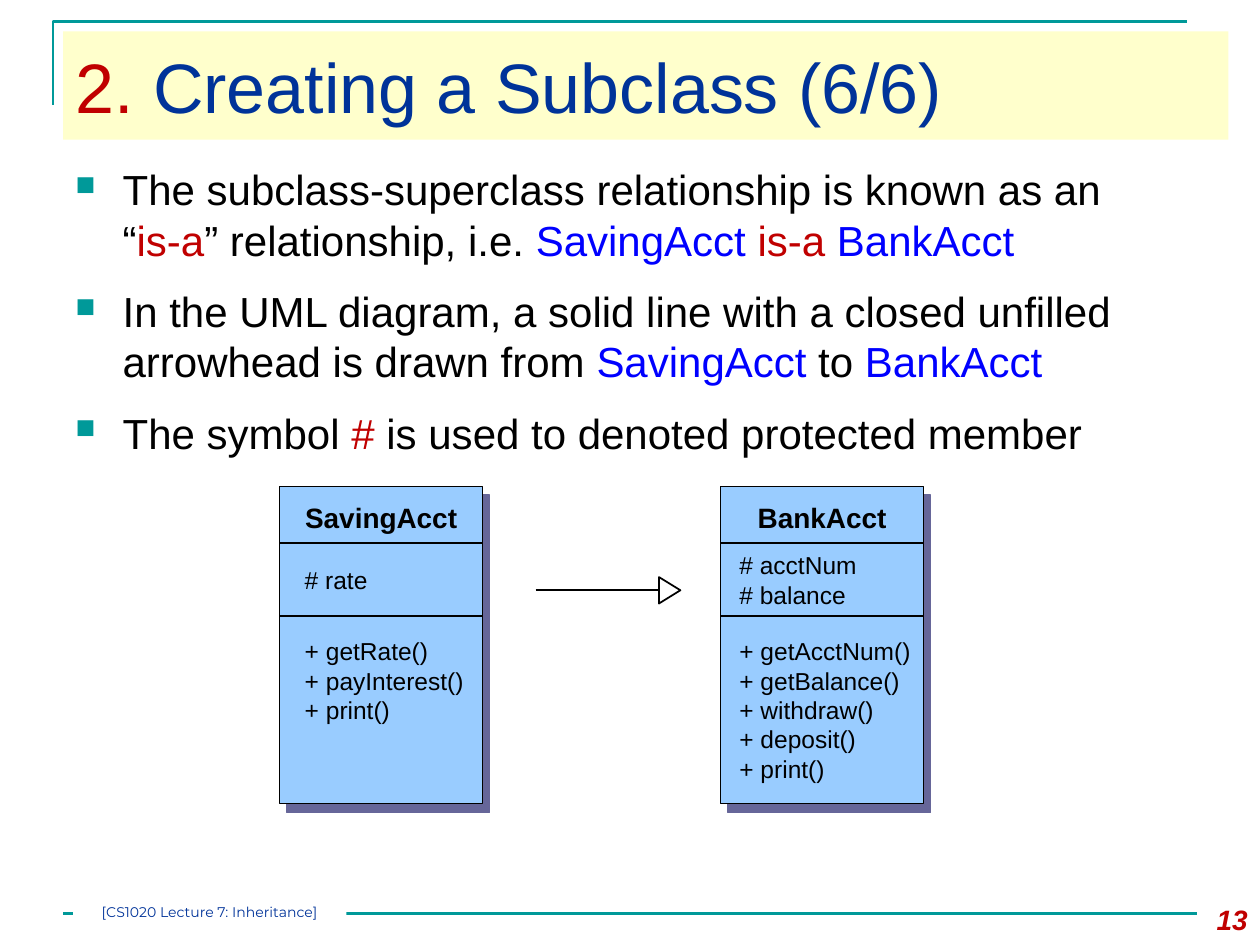
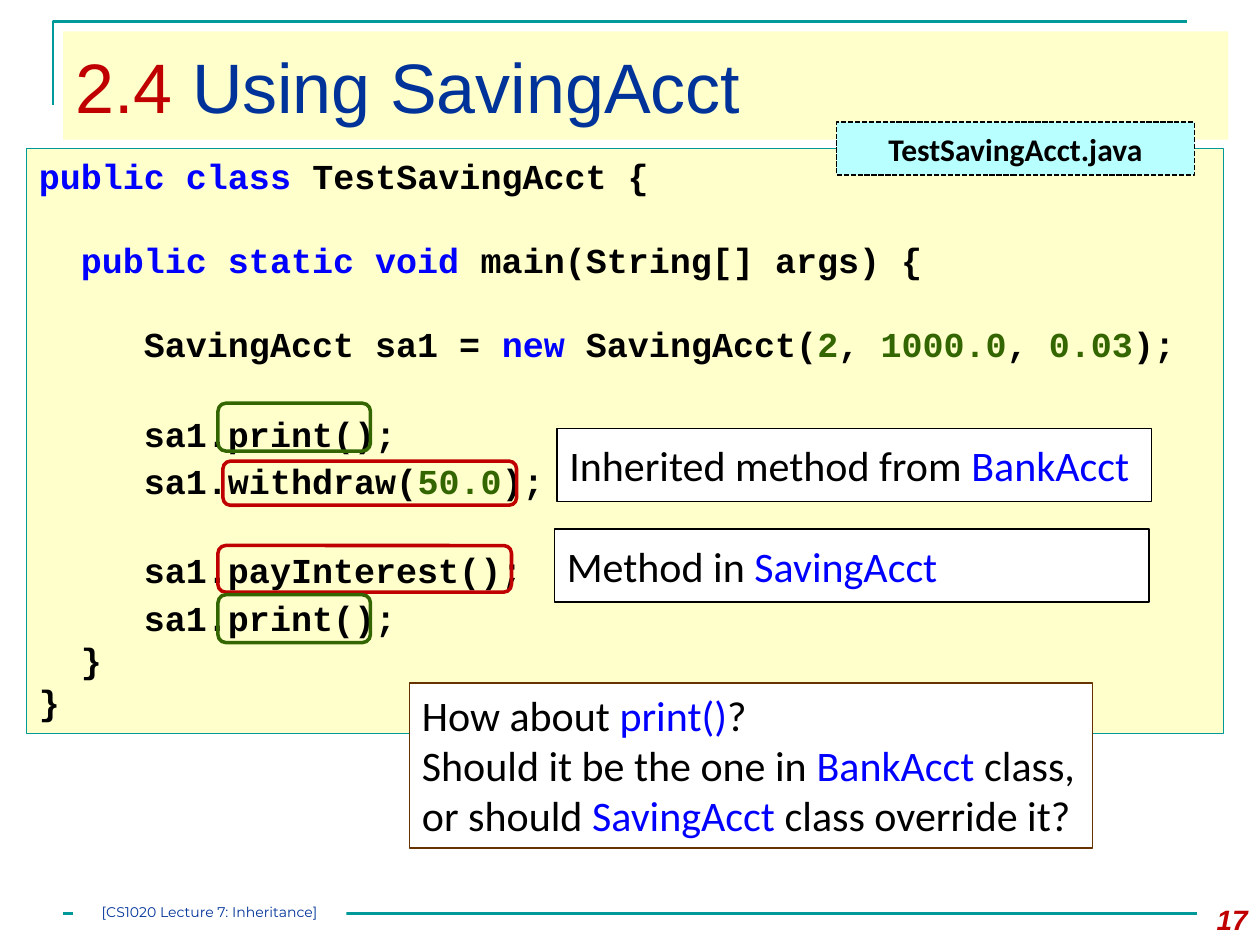
"""Build two lecture slides on inheritance, laid out on a 100 by 75 grid."""
from lxml import etree
from pptx import Presentation
from pptx import util as u
from pptx.dml.color import RGBColor
from pptx.enum import dml, shapes, text
from pptx.oxml.ns import qn

COLUMNS, ROWS = 100, 75
WIDTH, HEIGHT = u.Inches(10), u.Inches(7.5)
BLACK = RGBColor(0x00, 0x00, 0x00)
WHITE = RGBColor(0xFF, 0xFF, 0xFF)
RED = RGBColor(0xC0, 0x00, 0x00)
NAVY = RGBColor(0x00, 0x33, 0x99)
BLUE = RGBColor(0x00, 0x00, 0xFF)
GREEN = RGBColor(0x33, 0x66, 0x00)
TEAL = RGBColor(0x00, 0x99, 0x99)
CREAM = RGBColor(0xFF, 0xFF, 0xCC)
SKY = RGBColor(0x99, 0xCC, 0xFF)
CYAN = RGBColor(0xB8, 0xFF, 0xFF)
BROWN = RGBColor(0x66, 0x33, 0x00)
SHADOW = RGBColor(0x66, 0x66, 0x99)
SHAPE = shapes.MSO_SHAPE
MIDDLE = text.MSO_ANCHOR.MIDDLE
CENTER = text.PP_ALIGN.CENTER
CODE_LINE = 24


def across(columns):
    """Turn grid columns into a length."""
    return round(WIDTH * columns / COLUMNS)


def down(rows):
    """Turn grid rows into a length."""
    return round(HEIGHT * rows / ROWS)


def place(left, top, width, height):
    """Turn a grid area into lengths."""
    return across(left), down(top), across(width), down(height)


def add_element(parent, tag, **attributes):
    """Append a drawing element to a parent."""
    element = etree.SubElement(parent, qn(tag))
    for name, value in attributes.items():
        element.set(name, str(value))
    return element


def add_line(page, start, end, color=BLACK, weight=0.75):
    """Draw a straight line between two grid points."""
    line = page.shapes.add_connector(
        shapes.MSO_CONNECTOR.STRAIGHT,
        across(start[0]), down(start[1]), across(end[0]), down(end[1]))
    line.line.color.rgb = color
    line.line.width = u.Pt(weight)
    add_element(line._element.spPr, "a:effectLst")
    return line


def add_box(page, area, fill=None, outline=None, weight=1, kind=SHAPE.RECTANGLE):
    """Draw a preset shape with its own fill and outline."""
    box = page.shapes.add_shape(kind, *place(*area))
    box.shadow.inherit = False
    if fill is None:
        box.fill.background()
    else:
        box.fill.solid()
        box.fill.fore_color.rgb = fill
    if outline is None:
        box.line.fill.background()
    else:
        box.line.color.rgb = outline
        box.line.width = u.Pt(weight)
    return box


def add_text(page, area):
    """Add an empty text box."""
    return page.shapes.add_textbox(*place(*area))


def write(box, paragraphs, size, font="Arial", bold=False, italic=False,
          align=text.PP_ALIGN.LEFT, anchor=text.MSO_ANCHOR.TOP,
          wrap=True, gaps=None, bullet=False):
    """Write paragraphs made of (words, color) spans."""
    frame = box.text_frame
    frame.word_wrap = wrap
    frame.vertical_anchor = anchor
    for index, spans in enumerate(paragraphs):
        para = frame.add_paragraph() if index else frame.paragraphs[0]
        para.alignment = align
        if bullet:
            add_bullet(para)
        if gaps and index:
            para.space_before = u.Pt(gaps[index])
        for words, color in spans:
            span = para.add_run()
            span.text = words
            span.font.name = font
            span.font.size = u.Pt(size)
            span.font.bold = bold
            span.font.italic = italic
            span.font.color.rgb = color


def add_bullet(para):
    """Give a paragraph a small teal square and a hanging indent."""
    properties = para._p.get_or_add_pPr()
    properties.set("marL", str(across(3.75)))
    properties.set("indent", str(-across(3.75)))
    color = add_element(properties, "a:buClr")
    add_element(color, "a:srgbClr", val=TEAL)
    add_element(properties, "a:buSzPct", val=65000)
    add_element(properties, "a:buChar", char="■")


def add_hard_shadow(box):
    """Cast a solid shadow to the lower right."""
    effects = box._element.spPr.find(qn("a:effectLst"))
    shadow = add_element(effects, "a:outerShdw", blurRad=0, dist=u.Pt(6.4),
                         dir=51 * 60000, algn="ctr", rotWithShape=0)
    add_element(shadow, "a:srgbClr", val=SHADOW)


def add_page(deck, number, topic, title):
    """Add a slide with the shared frame, title band and footer."""
    page = deck.slides.add_slide(deck.slide_layouts[6])
    outline = page.shapes.build_freeform(across(4.2), down(8.3))
    outline.add_line_segments([(across(4.2), down(1.7)),
                               (across(94.2), down(1.7))], close=False)
    corner = outline.convert_to_shape()
    corner.shadow.inherit = False
    corner.fill.background()
    corner.line.color.rgb = TEAL
    corner.line.width = u.Pt(1.5)
    add_line(page, (5, 72.5), (95, 72.5), TEAL, 1.5)
    band = add_box(page, (5, 2.5, 92.5, 8.6), CREAM)
    write(band, [[(topic, RED), (title, NAVY)]], 40, anchor=MIDDLE)
    write(add_text(page, (93.3, 71, 6.7, 4)), [[(number, RED)]], 16,
          bold=True, italic=True, align=text.PP_ALIGN.RIGHT, anchor=MIDDLE)
    footer = add_box(page, (5.8, 71.7, 21.7, 1.8), WHITE)
    frame = footer.text_frame
    frame.margin_left = frame.margin_right = 0
    frame.margin_top = frame.margin_bottom = 0
    write(footer, [[("[CS1020 Lecture 7: Inheritance]", NAVY)]], 8,
          font="Montserrat", align=CENTER)
    return page


def add_class(page, left, indent, name, attributes, methods):
    """Draw a UML class with name, attribute and method compartments."""
    top, width, height = 38.6, 16.1, 25.2
    name_end, attributes_end = 43.1, 48.9
    add_hard_shadow(add_box(page, (left, top, width, height), SKY, BLACK, 0.75))
    for row in (name_end, attributes_end):
        add_line(page, (left, row), (left + width, row))
    write(add_text(page, (left, top + 0.6, width, 3.7)), [[(name, BLACK)]], 16,
          bold=True, align=CENTER)
    compartments = (
        (attributes, name_end, attributes_end, MIDDLE),
        (methods, attributes_end + 1.1, top + height, text.MSO_ANCHOR.TOP))
    for members, start, end, anchor in compartments:
        box = add_text(page, (left + indent, start, width - indent, end - start))
        write(box, [[(member, BLACK)] for member in members], 14,
              anchor=anchor, wrap=False)


def build_subclass_page(deck):
    """Explain the is-a relationship with a UML diagram."""
    page = add_page(deck, "13", "2. ", "Creating a Subclass (6/6)")
    points = [
        [("The subclass-superclass relationship is known as an “", BLACK),
         ("is-a", RED), ("” relationship, i.e. ", BLACK),
         ("SavingAcct ", BLUE), ("is-a ", RED), ("BankAcct", BLUE)],
        [("In the UML diagram, a solid line with a closed unfilled "
          "arrowhead is drawn from ", BLACK),
         ("SavingAcct", BLUE), (" to ", BLACK), ("BankAcct", BLUE)],
        [("The symbol ", BLACK), ("#", RED),
         (" is used to denoted protected member", BLACK)],
    ]
    write(add_text(page, (5, 12.5, 87.5, 25.5)), points, 24,
          gaps=[0, 12, 12], bullet=True)
    add_class(page, 22.2, 1, "SavingAcct", ["# rate"],
              ["+ getRate()", "+ payInterest()", "+ print()"])
    add_class(page, 57.2, 0.5, "BankAcct", ["# acctNum", "# balance"],
              ["+ getAcctNum()", "+ getBalance()", "+ withdraw()",
               "+ deposit()", "+ print()"])
    add_line(page, (42.5, 46.8), (52.8, 46.8), weight=1)
    arrowhead = add_box(page, (52.1, 46, 2.1, 1.7), WHITE, BLACK,
                        kind=SHAPE.ISOSCELES_TRIANGLE)
    arrowhead.rotation = 90


def build_usage_page(deck):
    """Show the test program with notes on its method calls."""
    page = add_page(deck, "17", "2.4 ", "Using SavingAcct")
    code = [
        (0, [("public class", BLUE), (" TestSavingAcct {", BLACK)]),
        (CODE_LINE, [("  public static void ", BLUE),
                     ("main(String[] args) {", BLACK)]),
        (CODE_LINE, [("     SavingAcct sa1 = ", BLACK), ("new", BLUE),
                     (" SavingAcct(", BLACK), ("2", GREEN), (", ", BLACK),
                     ("1000.0", GREEN), (", ", BLACK), ("0.03", GREEN),
                     (");", BLACK)]),
        (CODE_LINE + 3, [("     sa1.print();", BLACK)]),
        (3, [("     sa1.withdraw(", BLACK), ("50.0", GREEN), (");", BLACK)]),
        (CODE_LINE + 3, [("     sa1.payInterest();", BLACK)]),
        (3, [("     sa1.print();", BLACK)]),
        (0, [("  }", BLACK)]),
        (0, [("}", BLACK)]),
    ]
    listing = add_box(page, (2.1, 11.8, 95, 46.4), CREAM, TEAL, 0.75)
    write(listing, [spans for _, spans in code], 20, font="Courier New",
          bold=True, gaps=[gap for gap, _ in code])
    label = add_box(page, (66.4, 9.7, 28.4, 4.2), CYAN, BLACK)
    label.line.dash_style = dml.MSO_LINE.SQUARE_DOT
    write(label, [[("TestSavingAcct.java", BLACK)]], 18, font="Calibri",
          bold=True, align=CENTER, anchor=MIDDLE)
    notes = [
        ((44.2, 34, 47.2, 5.8), "Inherited method from ", "BankAcct"),
        ((44, 42, 47.2, 5.8), "Method in ", "SavingAcct"),
    ]
    for area, words, name in notes:
        write(add_box(page, area, WHITE, BLACK), [[(words, BLACK), (name, BLUE)]],
              24, font="Calibri", anchor=MIDDLE)
    question = [
        [("How about ", BLACK), ("print()", BLUE), ("?", BLACK)],
        [("Should it be the one in ", BLACK), ("BankAcct ", BLUE),
         ("class, or should ", BLACK), ("SavingAcct ", BLUE),
         ("class override it?", BLACK)],
    ]
    write(add_box(page, (32.5, 54.2, 54.2, 13.1), WHITE, BROWN, 0.75),
          question, 24, font="Calibri")
    calls = [
        ((17.7, 36.6, 23.3, 3.5), RED), ((17.3, 43.3, 23.3, 3.7), RED),
        ((17.3, 32, 12.1, 3.8), GREEN), ((17.3, 47.2, 12.1, 3.8), GREEN),
    ]
    for area, color in calls:
        add_box(page, area, outline=color, weight=2, kind=SHAPE.ROUNDED_RECTANGLE)


def main():
    """Build and save the deck."""
    deck = Presentation()
    deck.slide_width, deck.slide_height = WIDTH, HEIGHT
    build_subclass_page(deck)
    build_usage_page(deck)
    deck.save("out.pptx")


if __name__ == "__main__":
    main()
